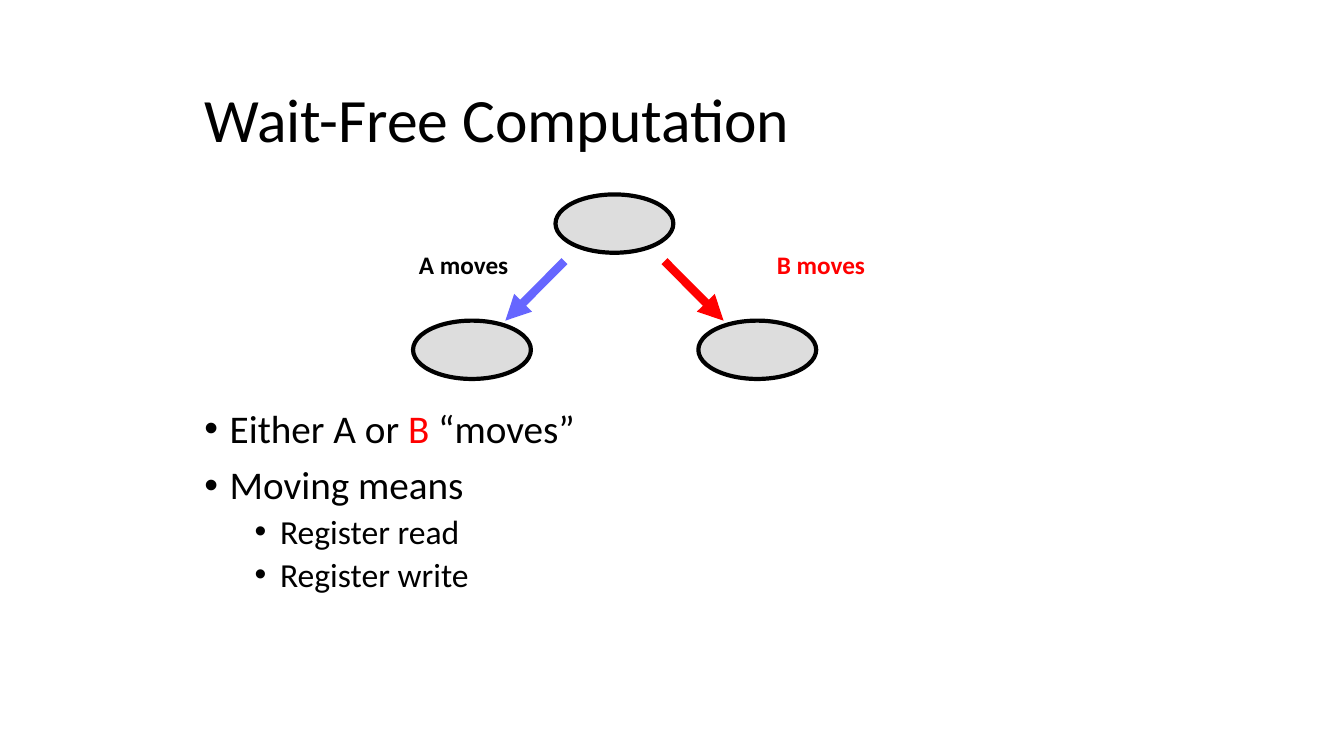
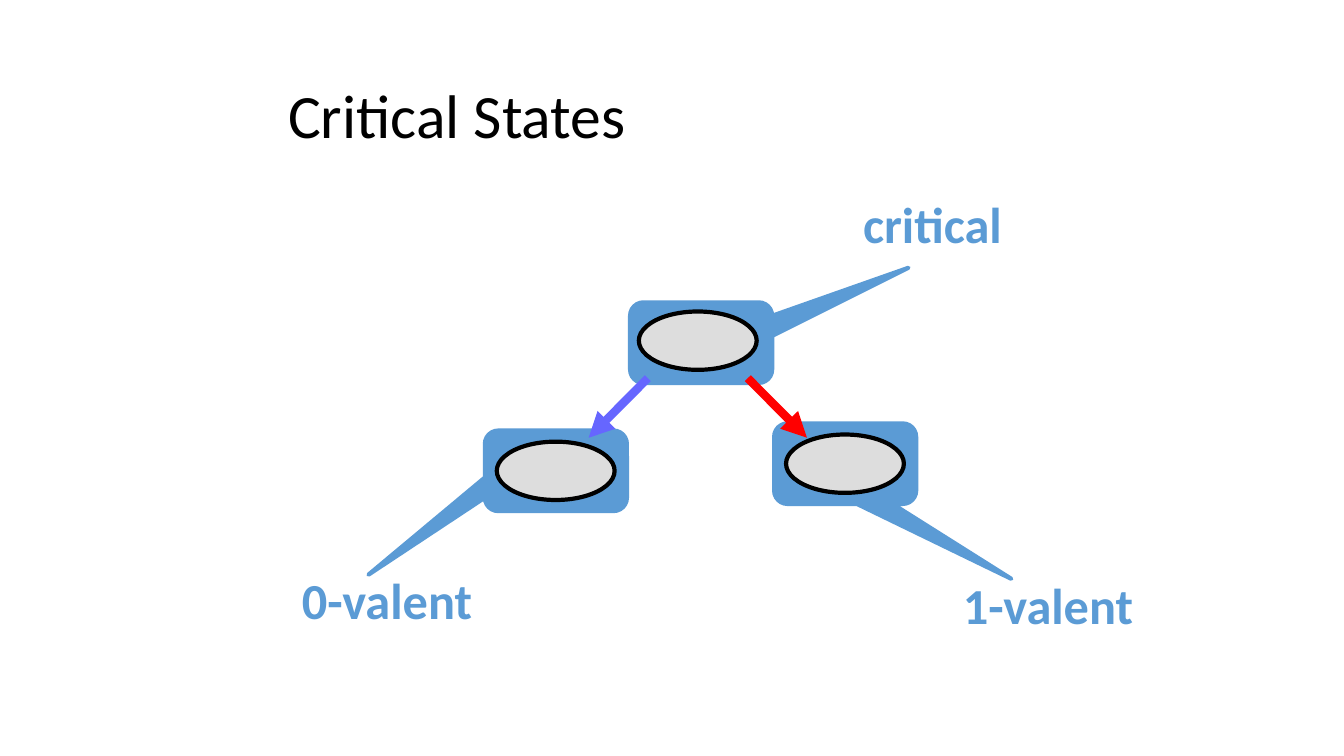
from lxml import etree
from pptx import Presentation
from pptx.dml.color import RGBColor
from pptx.enum.shapes import MSO_CONNECTOR, MSO_SHAPE as SHAPE
from pptx.enum.text import MSO_ANCHOR as ANCHOR, PP_ALIGN as ALIGN
from pptx.oxml.ns import qn
from pptx.util import Cm, Pt

COLORS = {"text": "000000", "a": "6666FF", "b": "FF0000",
          "node": "DDDDDD", "callout": "5B9BD5"}
FONT = "Calibri"
NODE = (2.97, 1.47)
CALLOUT = (3.58, 2.03)
TITLE_SIZE = (21.59, 3.18)

# Formats: font attributes, then paragraph attributes
TITLE = ({"size": Pt(44)}, {"line_spacing": 0.9})
MOVE = ({"size": Pt(18), "bold": True}, {"alignment": ALIGN.RIGHT})
STATE = ({"size": Pt(36), "bold": True}, {"alignment": ALIGN.RIGHT})
LEVELS = [
    ({"size": Pt(28)}, {"line_spacing": 0.9, "space_before": Pt(10), "level": 0}),
    ({"size": Pt(24)}, {"line_spacing": 0.9, "space_before": Pt(5), "level": 1}),
]

# Bullets: level, runs of (text, colour)
BULLETS = [
    (0, [("Either A or ", "text"), ("B", "b"), (" “moves”", "text")]),
    (0, [("Moving means", "text")]),
    (1, [("Register read", "text")]),
    (1, [("Register write", "text")]),
]
BODY_BOX = (4.9, 10.19, 21.59, 6.55)

# Trees: root position, then child offsets from the root; all in cm
# Labels: text, colour, format, box
# Callouts: position, pointer offset in shares of the callout size
SLIDES = [
    {"title": ("Wait-Free Computation", 4.9, 1.5),
     "callouts": [],
     "root": (14, 4.9), "children": [(-3.59, 3.18), (3.6, 3.18)],
     "labels": [("A moves", "text", MOVE, (8.59, 6.17, 4.47, 1.45)),
                ("B moves", "b", MOVE, (17.68, 6.17, 4.37, 1.45))],
     "bullets": BULLETS},
    {"title": ("Critical States", 7.01, 1.4),
     "callouts": [((15.88, 7.62), (1.46, -0.93)),
                  ((19.51, 10.67), (1.17, 1.43)),
                  ((12.22, 10.85), (-1.32, 1.29))],
     "root": (16.1, 7.85), "children": [(-3.58, 3.28), (3.71, 3.1)],
     "labels": [("0-valent", "callout", STATE, (6.43, 14.22, 5.72, 1.78)),
                ("1-valent", "callout", STATE, (23.09, 14.33, 5.72, 1.78)),
                ("critical", "callout", STATE, (20.7, 4.75, 4.8, 1.78))],
     "bullets": []},
]


def rgb(name):
    """Return the named colour."""
    return RGBColor.from_string(COLORS[name])


def apply(target, values):
    """Set every attribute in values on target."""
    for name, value in values.items():
        setattr(target, name, value)


def write(p, runs, fmt):
    """Fill a paragraph with coloured runs in one format."""
    font, para = fmt
    apply(p, para)
    for text, color in runs:
        r = p.add_run()
        r.text = text
        apply(r.font, {"name": FONT, **font})
        r.font.color.rgb = rgb(color)


def add_box(s, box, anchor=ANCHOR.TOP):
    """Add a wrapping text box and return its text frame."""
    tf = s.shapes.add_textbox(*map(Cm, box)).text_frame
    apply(tf, {"word_wrap": True, "vertical_anchor": anchor})
    return tf


def add_bullets(s, items):
    """Add the bulleted body text."""
    tf = add_box(s, BODY_BOX)
    for i, (level, runs) in enumerate(items):
        p = tf.add_paragraph() if i else tf.paragraphs[0]
        write(p, runs, LEVELS[level])
        ppr = p._p.get_or_add_pPr()
        ppr.set("marL", str(Cm(0.64 + 1.27 * level)))
        ppr.set("indent", str(Cm(-0.64)))
        etree.SubElement(ppr, qn("a:buFont")).set("typeface", "Arial")
        etree.SubElement(ppr, qn("a:buChar")).set("char", "•")


def add_shape(s, kind, at, size, fill, line):
    """Add a filled preset shape with a 3 pt outline."""
    sp = s.shapes.add_shape(kind, *map(Cm, at + size))
    sp.shadow.inherit = False
    sp.fill.solid()
    sp.fill.fore_color.rgb = rgb(fill)
    sp.line.color.rgb = rgb(line)
    sp.line.width = Pt(3)
    return sp


def add_arrow(s, start, end, color):
    """Add a thick arrow from start to end."""
    c = s.shapes.add_connector(MSO_CONNECTOR.STRAIGHT, *map(Cm, start + end))
    c.line.color.rgb = rgb(color)
    c.line.width = Pt(6)
    etree.SubElement(c.line._get_or_add_ln(), qn("a:tailEnd")).set("type", "triangle")
    etree.SubElement(c._element.spPr, qn("a:effectLst"))


def add_tree(s, root, children):
    """Add a root state, its two successors and the mirrored move arrows."""
    x, y = root
    for dx, dy in [(0, 0)] + children:
        add_shape(s, SHAPE.OVAL, (x + dx, y + dy), NODE, "node", "text")
    middle = x + NODE[0] / 2
    for side, color in ((-1, "a"), (1, "b")):
        add_arrow(s, (middle + side * 1.26, y + 1.68),
                  (middle + side * 2.75, y + 3.18), color)


def add_slide(prs, content):
    """Build one slide from its content."""
    s = prs.slides.add_slide(prs.slide_layouts[6])
    for at, pointer in content["callouts"]:
        sp = add_shape(s, SHAPE.ROUNDED_RECTANGULAR_CALLOUT, at, CALLOUT,
                       "callout", "callout")
        for i, share in enumerate(pointer):
            sp.adjustments[i] = share
    title, x, y = content["title"]
    tf = add_box(s, (x, y) + TITLE_SIZE, ANCHOR.MIDDLE)
    write(tf.paragraphs[0], [(title, "text")], TITLE)
    if content["bullets"]:
        add_bullets(s, content["bullets"])
    add_tree(s, content["root"], content["children"])
    for text, color, fmt, box in content["labels"]:
        write(add_box(s, box).paragraphs[0], [(text, color)], fmt)


prs = Presentation()
apply(prs, {"slide_width": Cm(33.87), "slide_height": Cm(19.05)})
for content in SLIDES:
    add_slide(prs, content)
prs.save("out.pptx")
